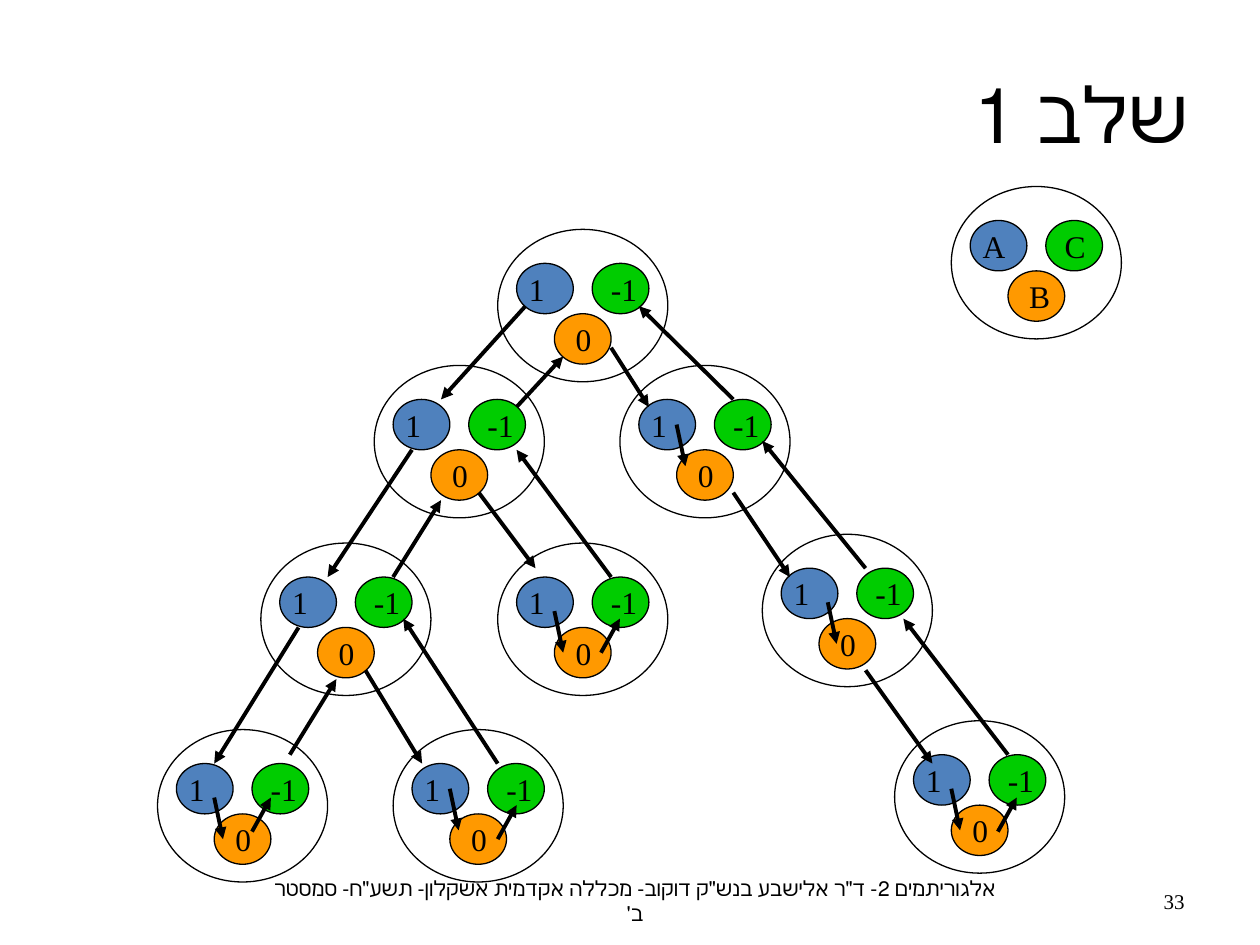
from dataclasses import dataclass

from lxml.etree import SubElement
from pptx import Presentation
from pptx.dml.color import RGBColor
from pptx.enum.shapes import MSO_CONNECTOR, MSO_SHAPE
from pptx.enum.text import MSO_ANCHOR, PP_ALIGN
from pptx.oxml.ns import qn
from pptx.util import Inches, Pt


@dataclass(frozen=True)
class Theme:
    font: str = "Times New Roman"
    ink: RGBColor = RGBColor(0x00, 0x00, 0x00)
    blue: RGBColor = RGBColor(0x4F, 0x81, 0xBD)
    green: RGBColor = RGBColor(0x00, 0xCC, 0x00)
    orange: RGBColor = RGBColor(0xFF, 0x99, 0x00)
    title_size: int = 44
    label_size: int = 18
    footer_size: int = 12
    outline: float = 0.75
    arrow: float = 2.25


THEME = Theme()

NODE_WIDTH, NODE_HEIGHT = 1.35, 1.21
COUNTER_WIDTH, COUNTER_HEIGHT = 0.45, 0.4
COUNTERS = [
    (0.15, 0.27, THEME.blue, 0),
    (0.75, 0.27, THEME.green, 0.05),
    (0.45, 0.67, THEME.orange, 0.07),
]
LEGEND = (7.55, 1.48)
LEGEND_LABELS = [("A", 0.4), ("C", 0.38), ("B", 0.38)]
VISIT_LABELS = [("1", 0.33), ("-1", 0.43), ("0", 0.33)]
TREE_NODES = [
    (3.95, 1.82),
    (2.97, 2.9), (4.92, 2.9),
    (2.07, 4.31), (3.95, 4.31), (6.05, 4.24),
    (1.25, 5.79), (3.12, 5.79), (7.1, 5.72),
]
TREE_ARROWS = [
    (4.17, 2.43, 3.5, 3.17), (3.27, 3.57, 2.6, 4.58), (2.37, 4.98, 1.7, 6.06),
    (2.3, 5.99, 2.67, 5.39), (3.12, 4.58, 3.5, 3.97), (2.9, 5.32, 3.35, 6.06),
    (3.95, 6.06, 3.2, 4.91), (3.8, 3.91, 4.25, 4.51), (4.85, 4.58, 4.1, 3.57),
    (4.1, 3.23, 4.47, 2.83), (8, 5.99, 7.17, 4.91), (6.87, 4.51, 6.05, 3.5),
    (6.87, 5.32, 7.4, 6.06), (5.82, 3.91, 6.27, 4.58), (4.85, 2.76, 5.15, 3.23),
    (5.82, 3.17, 5.07, 2.43),
]
FIRST_TO_MIDDLE = (0.07, 0.33)
FIRST_STARTS = [(1.7, 6.33), (3.57, 6.26), (4.4, 4.85), (6.57, 4.78), (5.37, 3.37), (7.55, 6.26)]
MIDDLE_TO_LAST = (0.15, -0.27)
MIDDLE_STARTS = [(2, 6.6), (3.95, 6.66), (4.77, 5.18), (7.92, 6.6)]


def add_text(shapes, text, left, top, width, height, size,
             align=PP_ALIGN.LEFT, anchor=MSO_ANCHOR.TOP, wrap=True, right_to_left=False):
    shape = shapes.add_textbox(Inches(left), Inches(top), Inches(width), Inches(height))
    text_frame = shape.text_frame
    text_frame.text = text
    text_frame.word_wrap = wrap
    text_frame.vertical_anchor = anchor
    paragraph = text_frame.paragraphs[0]
    paragraph.alignment = align
    if right_to_left:
        paragraph._p.get_or_add_pPr().set("rtl", "1")
    font = paragraph.runs[0].font
    font.name = THEME.font
    font.size = Pt(size)
    font.color.rgb = THEME.ink


def add_ellipse(shapes, left, top, width, height, color=None):
    shape = shapes.add_shape(MSO_SHAPE.OVAL, Inches(left), Inches(top), Inches(width), Inches(height))
    shape.shadow.inherit = False
    if color is None:
        shape.fill.background()
    else:
        shape.fill.solid()
        shape.fill.fore_color.rgb = color
    shape.line.color.rgb = THEME.ink
    shape.line.width = Pt(THEME.outline)


def add_node(slide, left, top, labels):
    shapes = slide.shapes.add_group_shape().shapes
    add_ellipse(shapes, left, top, NODE_WIDTH, NODE_HEIGHT)
    for (x, y, color, indent), (label, width) in zip(COUNTERS, labels):
        add_ellipse(shapes, left + x, top + y, COUNTER_WIDTH, COUNTER_HEIGHT, color)
        add_text(shapes, label, left + x + indent, top + y, width, COUNTER_HEIGHT,
                 THEME.label_size, wrap=False)


def add_arrow(slide, start_x, start_y, end_x, end_y):
    connector = slide.shapes.add_connector(
        MSO_CONNECTOR.STRAIGHT, Inches(start_x), Inches(start_y), Inches(end_x), Inches(end_y))
    connector.line.color.rgb = THEME.ink
    connector.line.width = Pt(THEME.arrow)
    SubElement(connector.line._get_or_add_ln(), qn("a:tailEnd"), type="triangle")
    SubElement(connector._element.spPr, qn("a:effectLst"))


def add_step_arrows(slide, starts, step):
    for x, y in starts:
        add_arrow(slide, x, y, x + step[0], y + step[1])


def main():
    presentation = Presentation()
    presentation.slide_width, presentation.slide_height = Inches(10), Inches(7.5)
    slide = presentation.slides.add_slide(presentation.slide_layouts[6])

    add_text(slide.shapes, "33", 7.17, 6.95, 2.33, 0.4, THEME.footer_size,
             PP_ALIGN.RIGHT, MSO_ANCHOR.MIDDLE)
    add_text(slide.shapes, "שלב 1", 0.39, 0.31, 9.14, 1.17, THEME.title_size,
             PP_ALIGN.RIGHT, MSO_ANCHOR.MIDDLE, right_to_left=True)
    add_text(slide.shapes,
             "אלגוריתמים 2- ד\"ר אלישבע בנש\"ק דוקוב- מכללה אקדמית אשקלון- תשע\"ח- סמסטר ב'",
             2.03, 6.95, 6.02, 0.4, THEME.footer_size,
             PP_ALIGN.CENTER, MSO_ANCHOR.MIDDLE, right_to_left=True)

    add_node(slide, *LEGEND, LEGEND_LABELS)
    for left, top in TREE_NODES:
        add_node(slide, left, top, VISIT_LABELS)
    for arrow in TREE_ARROWS:
        add_arrow(slide, *arrow)
    add_step_arrows(slide, FIRST_STARTS, FIRST_TO_MIDDLE)
    add_step_arrows(slide, MIDDLE_STARTS, MIDDLE_TO_LAST)

    presentation.save("out.pptx")


if __name__ == "__main__":
    main()
